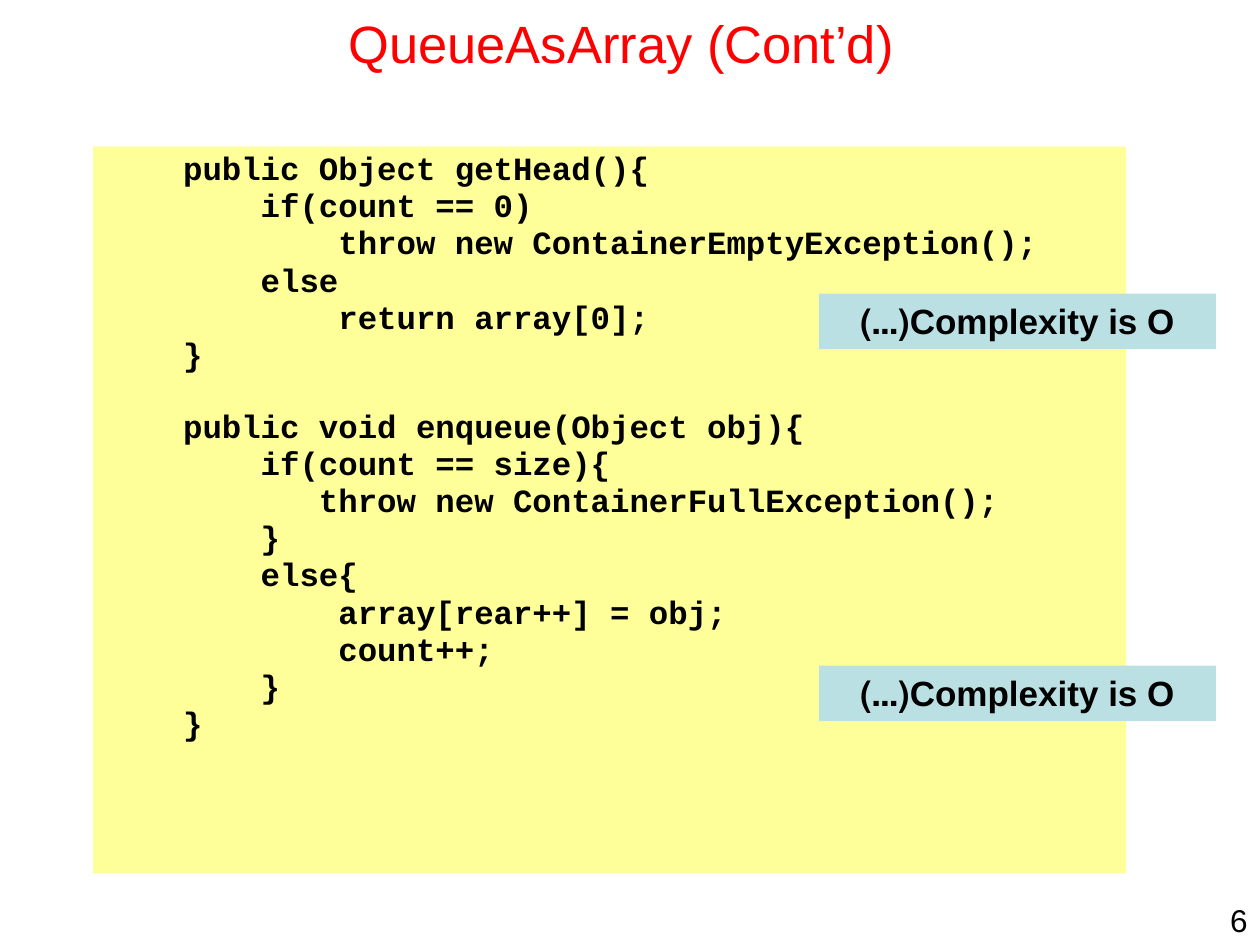
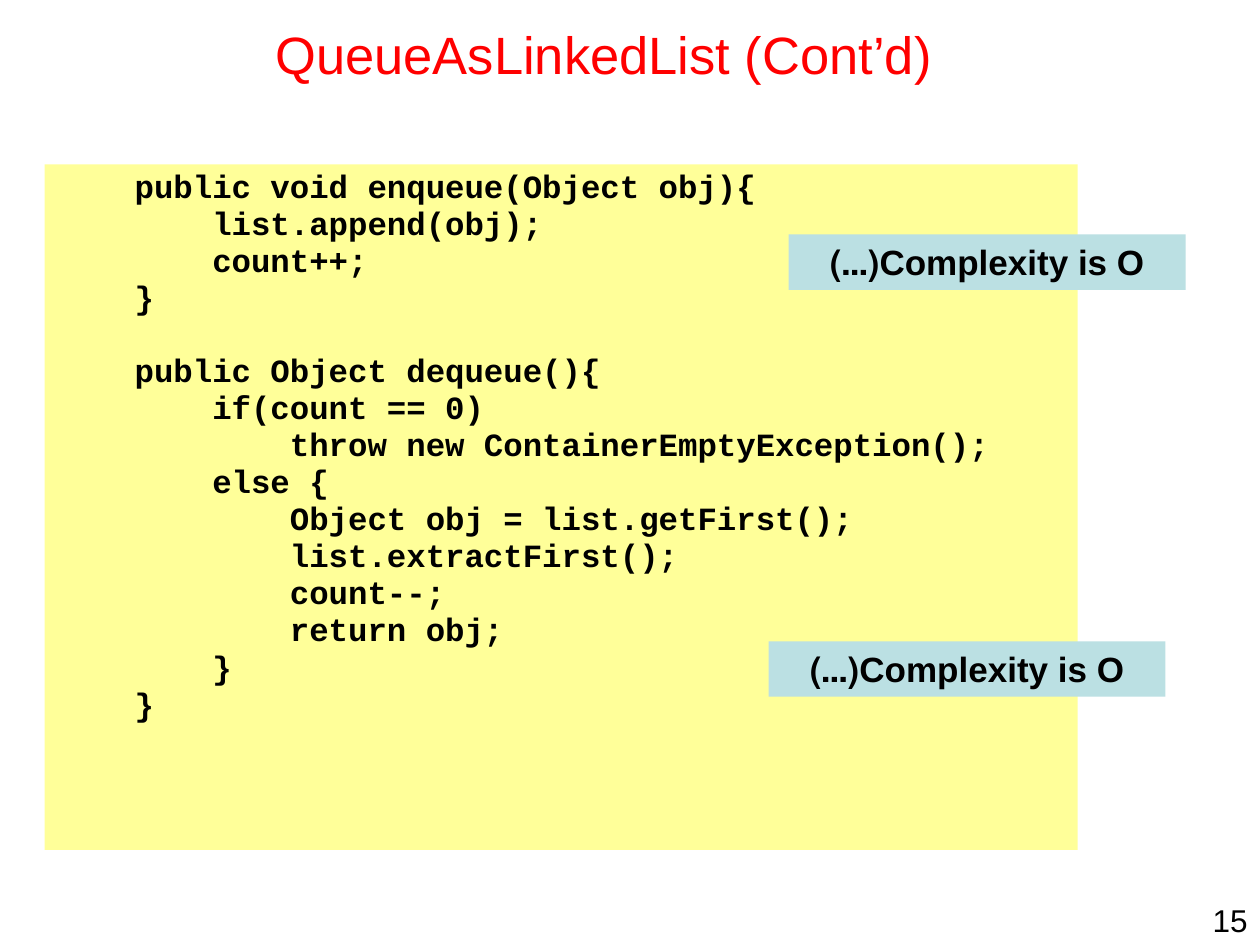
import pptx
import pptx.util
import pptx.dml.color
import pptx.enum.shapes
import pptx.enum.text

Pt = pptx.util.Pt
RGBColor = pptx.dml.color.RGBColor
ALIGN = pptx.enum.text.PP_ALIGN
ANCHOR = pptx.enum.text.MSO_ANCHOR

BLACK = RGBColor(0x00, 0x00, 0x00)
RED = RGBColor(0xFF, 0x00, 0x00)
YELLOW = RGBColor(0xFF, 0xFF, 0x99)
TEAL = RGBColor(0xBB, 0xE0, 0xE3)

FONTS = {
    "title": dict(name="Arial", size=Pt(30), bold=False),
    "code": dict(name="Courier New", size=Pt(18.5), bold=True),
    "label": dict(name="Arial", size=Pt(20), bold=True),
    "number": dict(name="Arial", size=Pt(18), bold=False),
}
LINE_GAP = 1.2
METHOD_GAP = 21.3

GET_HEAD = """\
    public Object getHead(){
        if(count == 0)
            throw new ContainerEmptyException();
        else
            return array[0];
    }"""
ARRAY_ENQUEUE = """\
    public void enqueue(Object obj){
        if(count == size){
           throw new ContainerFullException();
        }
        else{
            array[rear++] = obj;
            count++;
        }
    }"""
LIST_ENQUEUE = """\
    public void enqueue(Object obj){
        list.append(obj);
        count++;
    }"""
LIST_DEQUEUE = """\
    public Object dequeue(){
        if(count == 0)
            throw new ContainerEmptyException();
        else {
            Object obj = list.getFirst();
            list.extractFirst();
            count--;
            return obj;
        }
    }"""


class Deck:
    """Holds the shared style and the slide being built."""

    def __init__(self):
        self.prs = pptx.Presentation()
        self.prs.slide_width, self.prs.slide_height = Pt(720), Pt(540)

    def slide(self, number):
        self.s = self.prs.slides.add_slide(self.prs.slide_layouts[6])
        tf = self.text_box(680.4, 511.2, 39.6, 28.8)
        self.add_text(tf.paragraphs[0], str(number), "number", ALIGN.RIGHT)

    def text_box(self, *box):
        tf = self.s.shapes.add_textbox(*map(Pt, box)).text_frame
        tf.word_wrap = True
        return tf

    def panel(self, fill, *box):
        rect = pptx.enum.shapes.MSO_SHAPE.RECTANGLE
        sp = self.s.shapes.add_shape(rect, *map(Pt, box))
        sp.shadow.inherit = False
        sp.fill.solid()
        sp.fill.fore_color.rgb = fill
        sp.line.fill.background()
        tf = sp.text_frame
        tf.word_wrap = True
        tf.vertical_anchor = ANCHOR.TOP
        return tf

    def add_text(self, p, text, style, align, color=BLACK):
        p.alignment = align
        r = p.add_run()
        r.text = text
        for key, value in FONTS[style].items():
            setattr(r.font, key, value)
        r.font.color.rgb = color

    def title(self, text, left, height):
        tf = self.text_box(left, 0, 648, height)
        tf.vertical_anchor = ANCHOR.MIDDLE
        self.add_text(tf.paragraphs[0], text, "title", ALIGN.CENTER, RED)

    def code(self, methods, left, top, height):
        tf = self.panel(YELLOW, left, top, 590.4, height)
        p = tf.paragraphs[0]
        for m, method in enumerate(methods):
            for n, line in enumerate(method.split("\n")):
                if m or n:
                    p = tf.add_paragraph()
                    p.space_before = Pt(LINE_GAP if n else METHOD_GAP)
                p.line_spacing = 0.9
                self.add_text(p, line, "code", ALIGN.LEFT)

    def complexity(self, left, top):
        p = self.panel(TEAL, left, top, 226.8, 31.7).paragraphs[0]
        self.add_text(p, "Complexity is O(...)", "label", ALIGN.CENTER)
        p._p.get_or_add_pPr().set("rtl", "1")


def main():
    deck = Deck()

    deck.slide(6)
    deck.title("QueueAsArray (Cont’d)", 31, 49)
    deck.code([GET_HEAD, ARRAY_ENQUEUE], 53.2, 83.8, 415.4)
    for top in (167.8, 380.4):
        deck.complexity(468, top)

    deck.slide(15)
    deck.title("QueueAsLinkedList (Cont’d) ", 25.2, 61.2)
    deck.code([LIST_ENQUEUE, LIST_DEQUEUE], 25.5, 94, 391.7)
    for left, top in ((450.7, 134), (439.2, 366.5)):
        deck.complexity(left, top)

    deck.prs.save("out.pptx")


if __name__ == "__main__":
    main()
